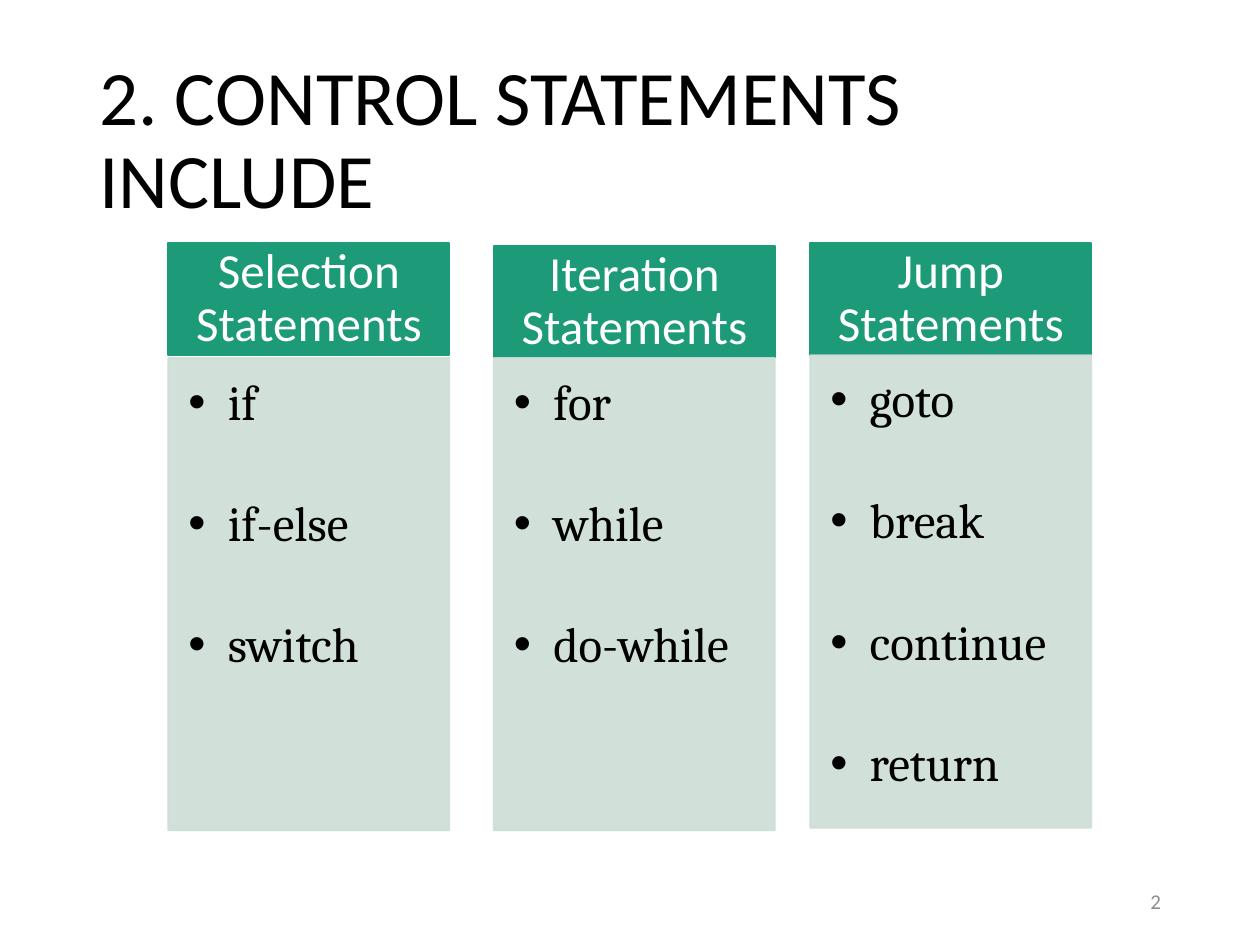
from lxml.etree import SubElement as Sub
from pptx import Presentation
from pptx.dml.color import RGBColor
from pptx.enum.shapes import MSO_SHAPE as Form
from pptx.enum.text import MSO_ANCHOR as Anchor, MSO_AUTO_SIZE as Fit, PP_ALIGN as Align
from pptx.oxml.ns import qn
from pptx.util import Pt

GREEN = RGBColor(0x1D, 0x9A, 0x78)
PALE = RGBColor(0xCD, 0xDE, 0xD6)
BLACK = RGBColor(0, 0, 0)
WHITE = RGBColor(255, 255, 255)
GREY = RGBColor(0x8C, 0x8C, 0x8C)

WIDE, HEAD, BODY = 160.6, 64, 270

# Left, heading top, list top, heading, items
COLS = [
    (96.2, 139, 204.5, "Selection Statements", ["if", "if-else", "switch"]),
    (282.2, 140.4, 204.5, "Iteration Statements", ["for", "while", "do-while"]),
    (463, 139, 203, "Jump Statements", ["goto", "break", "continue", "return"]),
]


def add_run(para, text, size, face, color):
    run = para.add_run()
    run.text = text
    run.font.size = Pt(size)
    run.font.name = face
    run.font.color.rgb = color


def set_frame(frame, anchor, pads):
    frame.word_wrap = True
    frame.auto_size = Fit.NONE
    frame.vertical_anchor = anchor
    (frame.margin_left, frame.margin_top,
     frame.margin_right, frame.margin_bottom) = [Pt(pad) for pad in pads]


def add_box(slide, left, top, high, color):
    box = slide.shapes.add_shape(
        Form.RECTANGLE, Pt(left), Pt(top), Pt(WIDE), Pt(high))
    box.shadow.inherit = False
    box.fill.solid()
    box.fill.fore_color.rgb = color
    box.line.color.rgb = color
    box.line.width = Pt(1)
    return box


def add_head(slide, left, top, text):
    box = add_box(slide, left, top, HEAD, GREEN)
    set_frame(box.text_frame, Anchor.MIDDLE, (15, 8.6, 15, 8.6))
    para = box.text_frame.paragraphs[0]
    para.alignment = Align.CENTER
    para.line_spacing = 0.9
    add_run(para, text, 28, "Calibri", WHITE)


def add_list(slide, left, top, items):
    box = add_box(slide, left, top, BODY, PALE)
    # Fill and line are 90 % opaque
    for tint in box._element.spPr.iter(qn("a:srgbClr")):
        Sub(tint, qn("a:alpha"), val="90000")
    frame = box.text_frame
    set_frame(frame, Anchor.TOP, (11.5, 11.5, 16, 17))
    for num, item in enumerate(items):
        para = frame.add_paragraph() if num else frame.paragraphs[0]
        props = para._p.get_or_add_pPr()
        props.set("marL", str(Pt(22.5)))
        props.set("indent", str(Pt(-22.5)))
        Sub(props, qn("a:buFont"), typeface="Arial")
        Sub(props, qn("a:buChar"), char="•")
        para.alignment = Align.LEFT
        para.line_spacing = 0.9
        if num < len(items) - 1:
            para.space_after = Pt(39)
        add_run(para, item, 28, "Cambria", BLACK)


def set_title(slide, text):
    title = slide.shapes.title
    title.left, title.top = Pt(49.5), Pt(29)
    title.width, title.height = Pt(621), Pt(104.4)
    set_frame(title.text_frame, Anchor.MIDDLE, (7.2, 3.6, 7.2, 3.6))
    para = title.text_frame.paragraphs[0]
    para.alignment = Align.LEFT
    para.line_spacing = 0.9
    add_run(para, text, 44, "Calibri", BLACK)


def add_page(slide, text):
    box = slide.shapes.add_textbox(Pt(508.5), Pt(500.5), Pt(162), Pt(28.8))
    set_frame(box.text_frame, Anchor.MIDDLE, (7.2, 3.6, 7.2, 3.6))
    para = box.text_frame.paragraphs[0]
    para.alignment = Align.RIGHT
    add_run(para, text, 12, "Calibri", GREY)


def main():
    deck = Presentation()
    deck.slide_width, deck.slide_height = Pt(720), Pt(540)
    slide = deck.slides.add_slide(deck.slide_layouts[5])  # Title Only
    set_title(slide, "2. CONTROL STATEMENTS INCLUDE")
    add_page(slide, "2")

    # Three columns: heading over list
    for left, top, low, head, items in COLS:
        add_head(slide, left, top, head)
        add_list(slide, left, low, items)
    deck.save("out.pptx")


if __name__ == "__main__":
    main()
